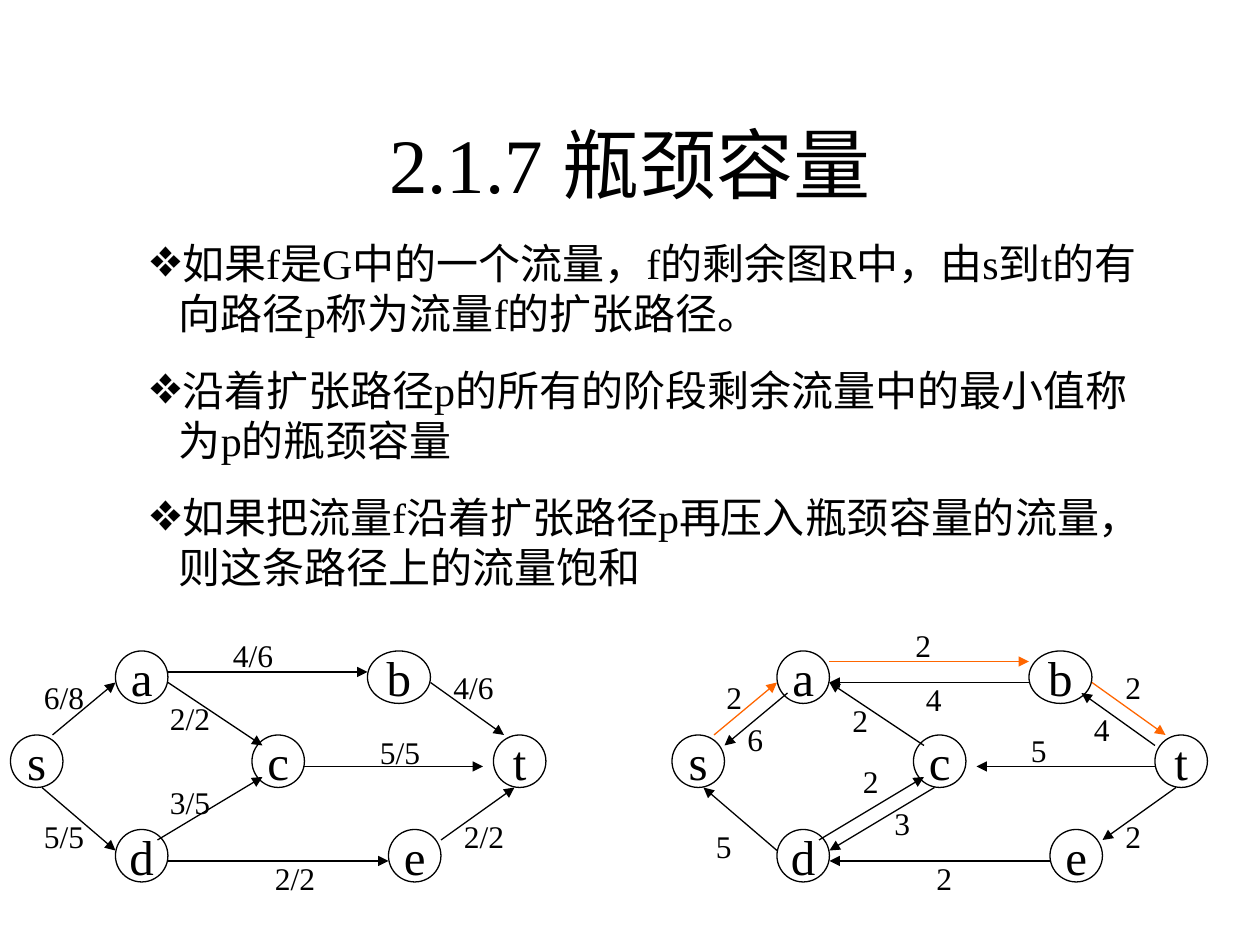
from lxml import etree
from pptx import Presentation
from pptx.dml.color import RGBColor
from pptx.enum.shapes import MSO_CONNECTOR, MSO_SHAPE
from pptx.enum.text import MSO_ANCHOR, MSO_AUTO_SIZE, PP_ALIGN
from pptx.oxml.ns import qn
from pptx.util import Cm, Pt

LINE = MSO_CONNECTOR.STRAIGHT
OVAL = MSO_SHAPE.OVAL
MID, TOP = MSO_ANCHOR.MIDDLE, MSO_ANCHOR.TOP
FIT, FIXED = MSO_AUTO_SIZE.SHAPE_TO_FIT_TEXT, MSO_AUTO_SIZE.NONE
LEFT, CENTER = PP_ALIGN.LEFT, PP_ALIGN.CENTER

FONT = "Times New Roman"
COLORS = {"ink": "000000", "paper": "FFFFFF", "path": "FF6600"}
STEP = 2.54 / 12

TITLE = "2.1.7 瓶颈容量"
POINTS = [
    "如果f是G中的一个流量，f的剩余图R中，由s到t的有向路径p称为流量f的扩张路径。",
    "沿着扩张路径p的所有的阶段剩余流量中的最小值称为p的瓶颈容量",
    "如果把流量f沿着扩张路径p再压入瓶颈容量的流量，则这条路径上的流量饱和",
]

# name, left, top, width
NODES = [
    ("s", 0, 8, 5), ("a", 10, 0, 5), ("b", 34, 0, 6), ("d", 10, 17, 5),
    ("c", 23, 8, 5), ("e", 36, 17, 5), ("t", 46, 8, 5),
]
# start x, start y, end x, end y, color
FLOW = [
    (4, 8, 10, 3, "ink"), (3, 13, 10, 19, "ink"), (15, 2, 34, 2, "ink"),
    (15, 20, 36, 20, "ink"), (40, 3, 47, 8, "ink"), (41, 18, 48, 13, "ink"),
    (15, 3, 24, 9, "ink"), (14, 18, 24, 12, "ink"), (28, 11, 45, 11, "ink"),
]
REST = [
    (4, 8, 10, 3, "path"), (10, 19, 3, 13, "ink"), (15, 1, 34, 1, "path"),
    (36, 20, 15, 20, "ink"), (40, 3, 47, 8, "path"), (48, 13, 41, 18, "ink"),
    (24, 9, 15, 3, "ink"), (14, 18, 24, 12, "ink"), (46, 11, 29, 11, "ink"),
    (11, 4, 5, 9, "ink"), (34, 3, 15, 3, "ink"), (46, 9, 39, 4, "ink"),
    (25, 13, 15, 19, "ink"),
]
# text, left, top, width
LOADS = [
    ("6/8", 2, 2, 8), ("4/6", 20, -2, 8), ("5/5", 2, 15.2, 8),
    ("2/2", 14, 4, 8), ("3/5", 14, 12, 8), ("4/6", 41, 1, 8),
    ("5/5", 34, 7.2, 8), ("2/2", 42, 15.2, 8), ("2/2", 24, 19.2, 8),
]
SPARE = [
    ("2", 4, 2, 5), ("5", 3, 16.2, 5), ("2", 16, 4.2, 4), ("2", 42, 15.2, 3),
    ("2", 24, 19.2, 4), ("6", 6, 6, 5), ("2", 22, -3, 5), ("4", 23, 2.2, 5),
    ("2", 42, 1, 5), ("4", 39, 5, 5), ("5", 33, 7, 5), ("2", 17, 10, 5),
    ("3", 20, 14, 5),
]


def grid(*cells):
    return [Cm(cell * STEP) for cell in cells]


def tint(name):
    return RGBColor.from_string(COLORS[name])


def write(para, text, size, align):
    para.alignment = align
    run = para.add_run()
    run.text = text
    run.font.name = FONT
    run.font.size = Pt(size)
    run.font.color.rgb = tint("ink")


def place(shape, box):
    shape.left, shape.top, shape.width, shape.height = grid(*box)


def head(slide, box):
    shape = slide.shapes.title
    place(shape, box)
    frame = shape.text_frame
    frame.auto_size = FIXED
    frame.vertical_anchor = MID
    write(frame.paragraphs[0], TITLE, 44, CENTER)


def mark(para):
    props = para._p.get_or_add_pPr()
    props.set("marL", str(Cm(0.6)))
    props.set("indent", str(Cm(-0.6)))
    color = etree.SubElement(props, qn("a:buClr"))
    etree.SubElement(color, qn("a:srgbClr"), val=COLORS["ink"])
    etree.SubElement(props, qn("a:buFont"), typeface=FONT)
    etree.SubElement(props, qn("a:buChar"), char="❖")


def points(slide, box):
    shape = slide.placeholders[1]
    place(shape, box)
    frame = shape.text_frame
    frame.auto_size = FIXED
    frame.vertical_anchor = TOP
    for i, text in enumerate(POINTS):
        para = frame.add_paragraph() if i else frame.paragraphs[0]
        mark(para)
        para.space_before = Pt(15 if i else 0)
        write(para, text, 24, LEFT)


def node(slide, name, box):
    shape = slide.shapes.add_shape(OVAL, *grid(*box))
    shape.shadow.inherit = False
    shape.fill.solid()
    shape.fill.fore_color.rgb = tint("paper")
    shape.line.color.rgb = tint("ink")
    shape.line.width = Pt(0.75)
    frame = shape.text_frame
    frame.word_wrap = False
    frame.vertical_anchor = MID
    write(frame.paragraphs[0], name, 28, CENTER)


def arrow(slide, ends, color):
    edge = slide.shapes.add_connector(LINE, *grid(*ends))
    edge.line.color.rgb = tint(color)
    edge.line.width = Pt(0.75)
    etree.SubElement(edge.line._get_or_add_ln(), qn("a:tailEnd"), type="triangle")
    etree.SubElement(edge._element.spPr, qn("a:effectLst"))


def label(slide, text, box):
    frame = slide.shapes.add_textbox(*grid(*box)).text_frame
    frame.word_wrap = True
    frame.auto_size = FIT
    write(frame.paragraphs[0], text, 18, LEFT)


def graph(slide, left, top, edges, labels):
    for name, x, y, width in NODES:
        node(slide, name, (left + x, top + y, width, 5))
    for x1, y1, x2, y2, color in edges:
        arrow(slide, (left + x1, top + y1, left + x2, top + y2), color)
    for text, x, y, width in labels:
        label(slide, text, (left + x, top + y, width, 4.8))


def main():
    deck = Presentation()
    deck.slide_width, deck.slide_height = Cm(25.4), Cm(19.05)
    slide = deck.slides.add_slide(deck.slide_layouts[1])
    head(slide, (9, 8, 102, 15))
    points(slide, (13, 22, 99, 35))
    graph(slide, 1, 62, FLOW, LOADS)
    graph(slide, 64, 62, REST, SPARE)
    deck.save("out.pptx")


if __name__ == "__main__":
    main()
